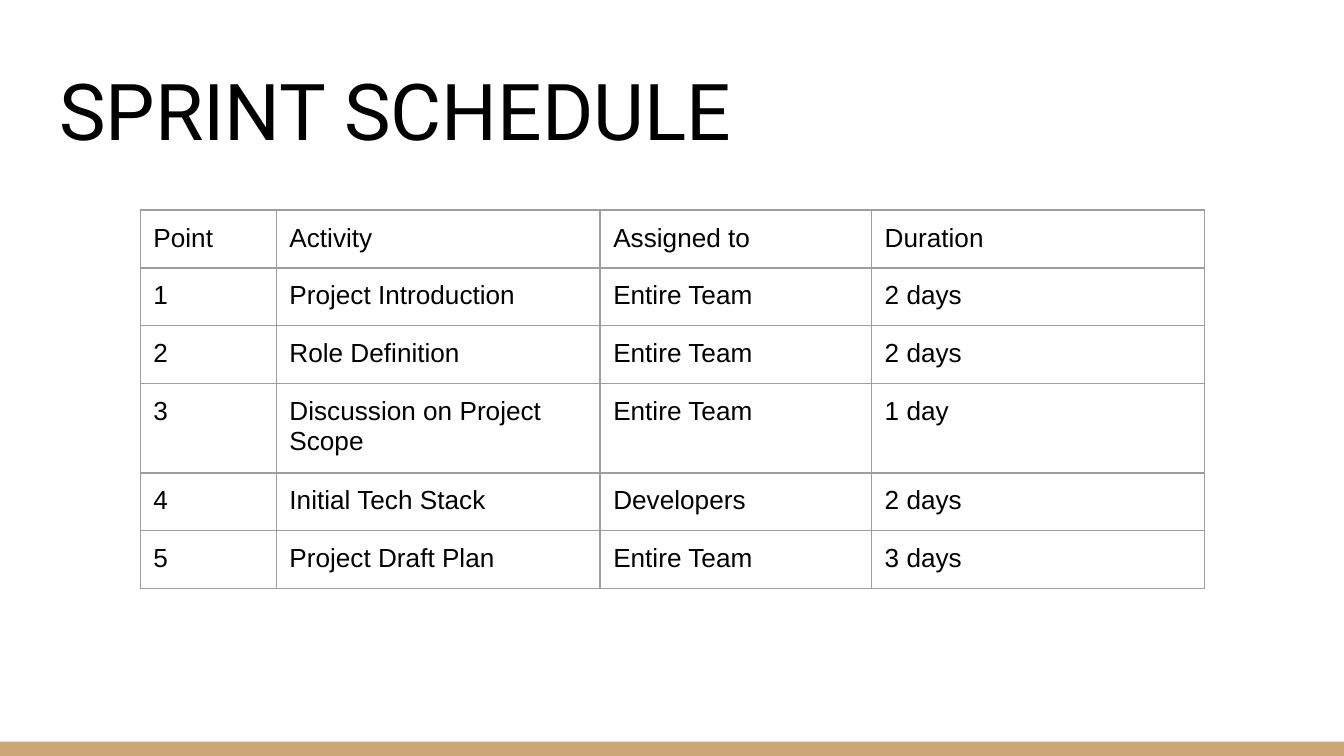
from dataclasses import dataclass

from lxml import etree
from pptx import Presentation
from pptx.dml.color import RGBColor
from pptx.enum.shapes import MSO_SHAPE
from pptx.enum.text import MSO_ANCHOR
from pptx.oxml.ns import qn
from pptx.util import Cm, Pt

RECTANGLE = MSO_SHAPE.RECTANGLE
BOTTOM = MSO_ANCHOR.BOTTOM
TOP = MSO_ANCHOR.TOP


@dataclass(frozen=True)
class Theme:
    text: str = "000000"
    band: str = "CCA677"
    grid: str = "9E9E9E"
    title_font: str = "Roboto"
    body_font: str = "Arial"
    title_size: float = 42
    body_size: float = 14
    grid_width: float = 0.75


THEME = Theme()
SLIDE_WIDTH, SLIDE_HEIGHT = Cm(25.4), Cm(14.29)
INSET = Cm(0.25)

COLUMN_WIDTHS = [Cm(2.57), Cm(6.12), Cm(5.13), Cm(6.3)]
LINE_HEIGHT = Cm(1.06)
TWO_LINE_HEIGHT = Cm(1.63)
TWO_LINE_ACTIVITY = "Discussion on Project Scope"
SCHEDULE = [
    ("Point", "Activity", "Assigned to", "Duration"),
    ("1", "Project Introduction", "Entire Team", "2 days"),
    ("2", "Role Definition", "Entire Team", "2 days"),
    ("3", TWO_LINE_ACTIVITY, "Entire Team", "1 day"),
    ("4", "Initial Tech Stack", "Developers", "2 days"),
    ("5", "Project Draft Plan", "Entire Team", "3 days"),
]


def write_text(frame, text, font_name, size):
    frame.text = text
    frame.word_wrap = True
    font = frame.paragraphs[0].runs[0].font
    font.name = font_name
    font.size = Pt(size)
    font.color.rgb = RGBColor.from_string(THEME.text)


def set_insets(holder):
    """Give a text frame or a table cell the same margin on all sides."""
    holder.margin_left = holder.margin_right = INSET
    holder.margin_top = holder.margin_bottom = INSET


def add_footer_band(slide):
    height = Cm(0.27)
    band = slide.shapes.add_shape(
        RECTANGLE, 0, SLIDE_HEIGHT - height, SLIDE_WIDTH, height)
    band.shadow.inherit = False
    band.fill.solid()
    band.fill.fore_color.rgb = RGBColor.from_string(THEME.band)
    band.line.fill.background()


def add_title(slide, text):
    title = slide.shapes.add_textbox(Cm(0.87), Cm(0.89), Cm(23.66), Cm(2.31))
    frame = title.text_frame
    set_insets(frame)
    frame.vertical_anchor = BOTTOM
    write_text(frame, text, THEME.title_font, THEME.title_size)


def set_borders(cell):
    properties = cell._tc.get_or_add_tcPr()
    for side in ("a:lnL", "a:lnR", "a:lnT", "a:lnB"):
        line = etree.SubElement(properties, qn(side), w=str(Pt(THEME.grid_width)))
        fill = etree.SubElement(line, qn("a:solidFill"))
        etree.SubElement(fill, qn("a:srgbClr"), val=THEME.grid)


def add_schedule(slide):
    row_heights = [TWO_LINE_HEIGHT if TWO_LINE_ACTIVITY in entry else LINE_HEIGHT
                   for entry in SCHEDULE]
    table = slide.shapes.add_table(
        len(SCHEDULE), len(COLUMN_WIDTHS), Cm(2.65), Cm(3.97),
        sum(COLUMN_WIDTHS), sum(row_heights)).table
    table.first_row = table.horz_banding = False

    for column, width in zip(table.columns, COLUMN_WIDTHS):
        column.width = width
    for row, height, entry in zip(table.rows, row_heights, SCHEDULE):
        row.height = height
        for cell, text in zip(row.cells, entry):
            set_insets(cell)
            cell.vertical_anchor = TOP
            set_borders(cell)
            cell.fill.background()
            write_text(cell.text_frame, text, THEME.body_font, THEME.body_size)


def main():
    presentation = Presentation()
    presentation.slide_width = SLIDE_WIDTH
    presentation.slide_height = SLIDE_HEIGHT
    slide = presentation.slides.add_slide(presentation.slide_layouts[6])
    add_footer_band(slide)
    add_title(slide, "SPRINT SCHEDULE")
    add_schedule(slide)
    presentation.save("out.pptx")


if __name__ == "__main__":
    main()
